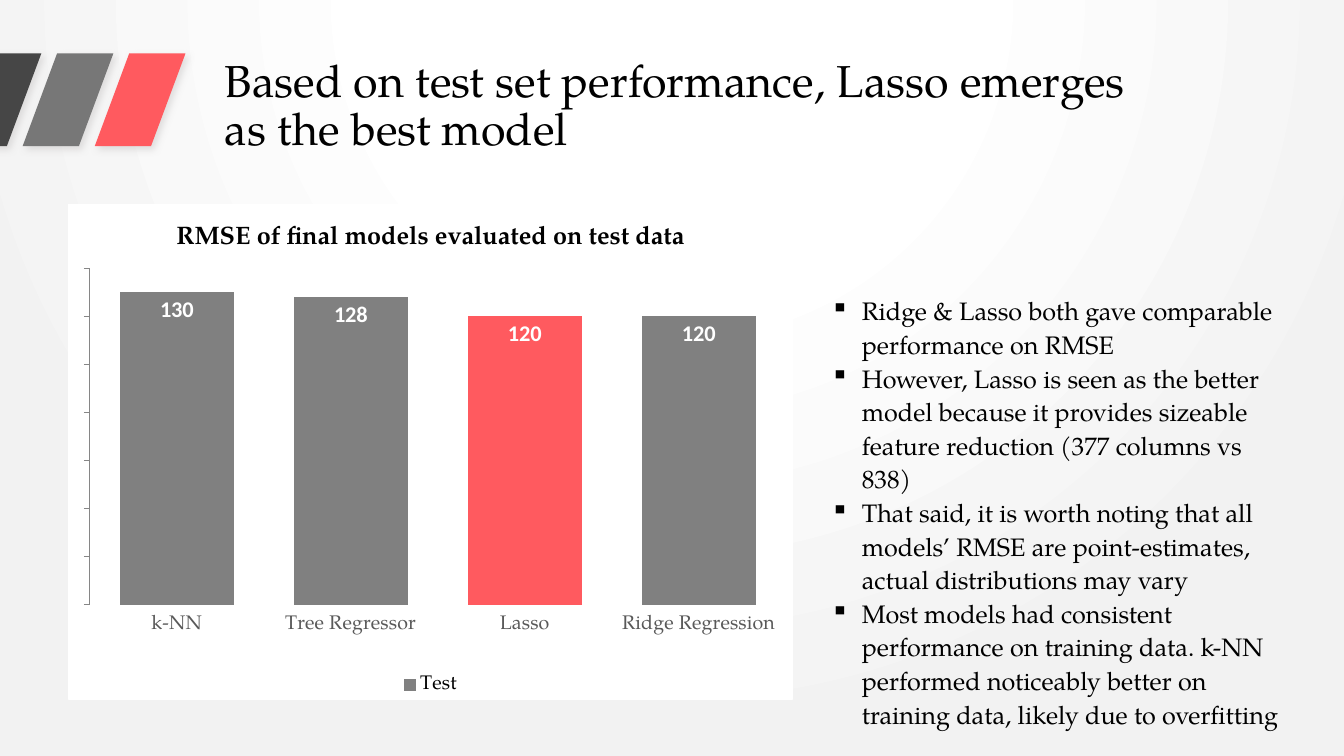
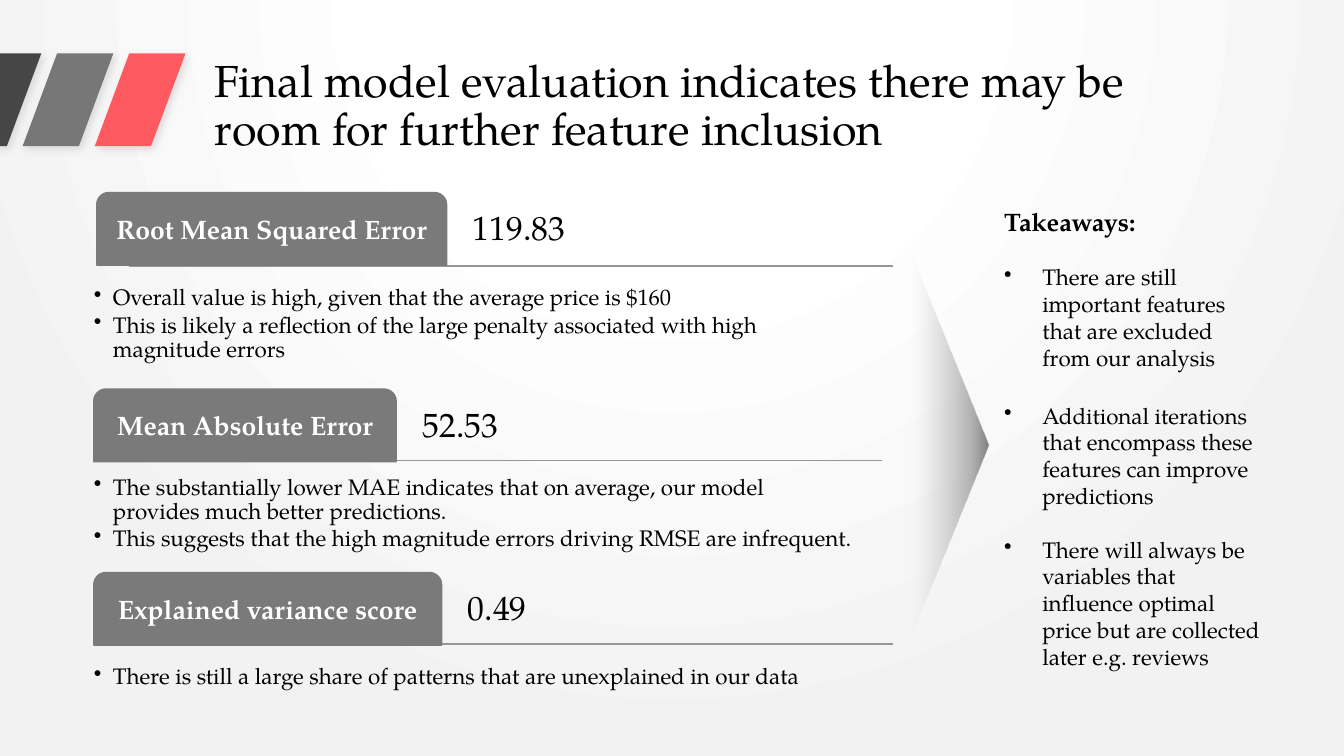
from dataclasses import dataclass

from lxml.etree import SubElement
from pptx import Presentation
from pptx.chart.data import CategoryChartData
from pptx.dml.color import RGBColor
from pptx.enum.chart import (XL_CHART_TYPE, XL_LABEL_POSITION, XL_LEGEND_POSITION,
                             XL_TICK_LABEL_POSITION, XL_TICK_MARK)
from pptx.enum.shapes import MSO_CONNECTOR, MSO_SHAPE
from pptx.enum.text import MSO_ANCHOR, MSO_AUTO_SIZE, PP_ALIGN
from pptx.oxml import parse_xml
from pptx.oxml.ns import nsdecls, qn
from pptx.util import Inches, Pt

BLACK = RGBColor(0x00, 0x00, 0x00)
WHITE = RGBColor(0xFF, 0xFF, 0xFF)
PALE = RGBColor(0xF2, 0xF2, 0xF2)
CHARCOAL = RGBColor(0x46, 0x46, 0x46)
GRAY = RGBColor(0x77, 0x77, 0x77)
CORAL = RGBColor(0xFF, 0x5A, 0x5F)
TAB_GRAY = RGBColor(0x7A, 0x7A, 0x7A)
RULE_GRAY = RGBColor(0x96, 0x96, 0x96)
AXIS_GRAY = RGBColor(0x86, 0x86, 0x86)
BAR_GRAY = RGBColor(0x80, 0x80, 0x80)
LABEL_GRAY = RGBColor(0x59, 0x59, 0x59)
SHADOW_GRAY = RGBColor(0xD0, 0xCE, 0xCE)
SILVER = RGBColor(0xBF, 0xBF, 0xBF)
MID_GRAY = RGBColor(0xA6, 0xA6, 0xA6)

SERIF = "TeX Gyre Pagella"
SANS = "Calibri"

RADIAL = ('<a:path path="circle"><a:fillToRect l="50000" t="-80000" '
          'r="50000" b="180000"/></a:path>')
UPWARD = '<a:lin ang="16200000" scaled="0"/>'

MODEL_RMSE = {"k-NN": 130, "Tree Regressor": 128, "Lasso": 120, "Ridge Regression": 120}
BEST_MODEL = "Lasso"
MODEL_REMARKS = [
    "Ridge & Lasso both gave comparable performance on RMSE",
    "However, Lasso is seen as the better model because it provides sizeable feature "
    "reduction (377 columns vs 838)",
    "That said, it is worth noting that all models’ RMSE are point-estimates, actual "
    "distributions may vary",
    "Most models had consistent performance on training data. k-NN performed noticeably "
    "better on training data, likely due to overfitting",
]
TAKEAWAYS = [
    ("There are still important features that are excluded from our analysis", 19),
    ("Additional iterations that encompass these features can improve predictions", 22),
    ("There will always be variables that influence optimal price but are collected "
     "later e.g. reviews", 19),
]


@dataclass
class Metric:
    """One evaluation score with its tab position and remarks."""
    name: str
    score: str
    left: float
    top: float
    width: float
    rule_left: float
    rule_top: float
    remarks_top: float
    remarks: list


METRICS = [
    Metric("Root Mean Squared Error", "119.83", 0.96, 1.91, 3.47, 1.28, 2.64, 2.82,
           ["Overall value is high, given that the average price is $160",
            "This is likely a reflection of the large penalty associated with high "
            "magnitude errors"]),
    Metric("Mean Absolute Error", "52.53", 0.93, 3.86, 3, 1.17, 4.57, 4.7,
           ["The substantially lower MAE indicates that on average, our model provides "
            "much better predictions.",
            "This suggests that the high magnitude errors driving RMSE are infrequent."]),
    Metric("Explained variance score", "0.49", 0.93, 5.68, 3.45, 1.28, 6.39, 6.58,
           ["There is still a large share of patterns that are unexplained in our data"]),
]


def apply_formats(target, formats):
    """Set every attribute named in formats on the target."""
    for name, value in formats.items():
        setattr(target, name, value)


def set_font(font, size, color=BLACK, bold=False, name=SERIF):
    """Give a font its face, size, weight and colour."""
    apply_formats(font, {"name": name, "size": Pt(size), "bold": bold})
    font.color.rgb = color


def gradient(stops, direction):
    """Build a gradient fill from (position, colour, opacity) stops in percent."""
    marks = "".join(
        f'<a:gs pos="{position * 1000}"><a:srgbClr val="{color}">'
        f'<a:alpha val="{opacity * 1000}"/></a:srgbClr></a:gs>'
        for position, color, opacity in stops)
    return parse_xml(f'<a:gradFill {nsdecls("a")} rotWithShape="1">'
                     f'<a:gsLst>{marks}</a:gsLst>{direction}</a:gradFill>')


def replace_solid_fill(holder, fill):
    """Swap the solid fill directly inside holder for another fill."""
    holder.replace(holder.find(qn("a:solidFill")), fill)


def set_background(master):
    """Give all slides the soft radial background."""
    master.background.fill.solid()
    properties = next(master.element.iter(qn("p:bgPr")))
    replace_solid_fill(properties, gradient(
        [(0, WHITE, 100), (35, WHITE, 100), (100, PALE, 100)], RADIAL))


def add_solid(slide, kind, left, top, width, height, color):
    """Add a borderless, shadowless preset shape in one colour."""
    shape = slide.shapes.add_shape(
        kind, Inches(left), Inches(top), Inches(width), Inches(height))
    shape.shadow.inherit = False
    shape.fill.solid()
    shape.fill.fore_color.rgb = color
    shape.line.fill.background()
    return shape


def add_band(slide, left, color):
    """Add one slanted title band with a soft shadow."""
    band = add_solid(slide, MSO_SHAPE.PARALLELOGRAM, left, 0.53, 0.9, 0.92, color)
    band.adjustments[0] = 0.38
    effects = band.element.spPr.find(qn("a:effectLst"))
    effects.append(parse_xml(
        f'<a:outerShdw {nsdecls("a")} blurRad="{Pt(5)}" dist="{Pt(3)}" dir="2700000" '
        f'algn="tl" rotWithShape="0"><a:srgbClr val="{SHADOW_GRAY}">'
        '<a:alpha val="60000"/></a:srgbClr></a:outerShdw>'))


def add_titled_slide(prs, title, left, width):
    """Add a slide with the shared title style and bands."""
    slide = prs.slides.add_slide(prs.slide_layouts[5])
    heading = slide.shapes.title
    apply_formats(heading, {"left": Inches(left), "top": Inches(0.53),
                            "width": Inches(width), "height": Inches(0.92)})
    heading.text = title
    apply_formats(heading.text_frame, {"vertical_anchor": MSO_ANCHOR.TOP, "word_wrap": True,
                                       "auto_size": MSO_AUTO_SIZE.NONE})
    paragraph = heading.text_frame.paragraphs[0]
    apply_formats(paragraph, {"alignment": PP_ALIGN.LEFT, "line_spacing": 0.9})
    set_font(paragraph.runs[0].font, 32)
    for index, color in enumerate((CHARCOAL, GRAY, CORAL)):
        add_band(slide, -0.49 + 0.715 * index, color)
    return slide


def set_frame(frame, inset=None, anchor=MSO_ANCHOR.TOP):
    """Wrap a text frame and set its anchor and, if given, its equal insets."""
    apply_formats(frame, {"word_wrap": True, "vertical_anchor": anchor})
    if inset is not None:
        sides = ("left", "top", "right", "bottom")
        apply_formats(frame, {f"margin_{side}": Inches(inset) for side in sides})


def add_text_area(slide, left, top, width, height, **frame_formats):
    """Add a wrapping text box and return its text frame."""
    area = slide.shapes.add_textbox(
        Inches(left), Inches(top), Inches(width), Inches(height))
    set_frame(area.text_frame, **frame_formats)
    return area.text_frame


def write(frame, text, size, color=BLACK, bold=False, bullet=None, indent=0, **formats):
    """Write a paragraph into the frame, with a hanging bullet if wanted."""
    first = frame.paragraphs[0]
    paragraph = frame.add_paragraph() if first.runs else first
    if bullet:
        properties = paragraph._p.get_or_add_pPr()
        properties.set("marL", str(Inches(indent)))
        properties.set("indent", str(-Inches(indent)))
        SubElement(properties, qn("a:buChar"), char=bullet)
    apply_formats(paragraph, formats)
    run = paragraph.add_run()
    run.text = text
    set_font(run.font, size, color, bold)


def style_axes(chart):
    """Show model names below the bars and a bare value scale."""
    names, scale = chart.category_axis, chart.value_axis
    apply_formats(names, {"major_tick_mark": XL_TICK_MARK.OUTSIDE,
                          "has_major_gridlines": False})
    names.format.line.fill.background()
    set_font(names.tick_labels.font, 14, LABEL_GRAY)
    apply_formats(scale, {"minimum_scale": 0, "maximum_scale": 140, "major_unit": 20,
                          "has_major_gridlines": False,
                          "major_tick_mark": XL_TICK_MARK.OUTSIDE,
                          "tick_label_position": XL_TICK_LABEL_POSITION.NONE})
    scale.format.line.color.rgb = AXIS_GRAY


def style_bars(plot):
    """Colour the bars, highlight the best model and label the values."""
    apply_formats(plot, {"gap_width": 53, "vary_by_categories": False,
                         "has_data_labels": True})
    series = plot.series[0]
    best = series.points[list(MODEL_RMSE).index(BEST_MODEL)]
    for bar, color in ((series, BAR_GRAY), (best, CORAL)):
        bar.format.fill.solid()
        bar.format.fill.fore_color.rgb = color
    apply_formats(plot.data_labels, {"show_value": True,
                                     "position": XL_LABEL_POSITION.INSIDE_END})
    set_font(plot.data_labels.font, 16, WHITE, True, SANS)


def place_plot(chart, **fractions):
    """Fix the inner plot area by fractions of the chart."""
    plot_area = next(chart.element.iter(qn("c:plotArea")))
    for old in plot_area.findall(qn("c:layout")):
        plot_area.remove(old)
    sizes = "".join(f'<c:{name} val="{value}"/>' for name, value in fractions.items())
    plot_area.insert(0, parse_xml(
        f'<c:layout {nsdecls("c")}><c:manualLayout><c:layoutTarget val="inner"/>'
        f'<c:xMode val="edge"/><c:yMode val="edge"/>{sizes}'
        '</c:manualLayout></c:layout>'))


def fill_chart_area(chart, color):
    """Paint the chart area and its border in one colour."""
    paint = f'<a:solidFill><a:srgbClr val="{color}"/></a:solidFill>'
    chart.element.find(qn("c:txPr")).addprevious(parse_xml(
        f'<c:spPr {nsdecls("c", "a")}>{paint}<a:ln w="{Pt(0.75)}">{paint}</a:ln></c:spPr>'))


def add_rmse_chart(slide):
    """Add the column chart comparing the models."""
    data = CategoryChartData()
    data.categories = list(MODEL_RMSE)
    data.add_series("Test", list(MODEL_RMSE.values()))
    chart = slide.shapes.add_chart(XL_CHART_TYPE.COLUMN_CLUSTERED, Inches(0.67),
                                   Inches(2.02), Inches(7.2), Inches(4.92), data).chart
    set_font(chart.font, 18, name=SANS)
    apply_formats(chart, {"has_title": True, "has_legend": True})
    write(chart.chart_title.text_frame, "RMSE of final models evaluated on test data",
          18, bold=True)
    apply_formats(chart.legend, {"position": XL_LEGEND_POSITION.BOTTOM,
                                 "include_in_layout": False})
    set_font(chart.legend.font, 14)
    style_axes(chart)
    style_bars(chart.plots[0])
    place_plot(chart, x=0.03, y=0.13, w=0.96, h=0.68)
    fill_chart_area(chart, WHITE)


def add_rule(slide, left, top, width):
    """Add a thin horizontal rule."""
    rule = slide.shapes.add_connector(MSO_CONNECTOR.STRAIGHT, Inches(left), Inches(top),
                                      Inches(left + width), Inches(top))
    rule.line.color.rgb = RULE_GRAY
    rule.line.width = Pt(1)
    SubElement(rule.element.spPr, qn("a:effectLst"))


def add_metric(slide, metric):
    """Add a metric's rule, tab, score and remarks."""
    add_rule(slide, metric.rule_left, metric.rule_top, 7.58)
    tab = add_solid(slide, MSO_SHAPE.ROUND_2_SAME_RECTANGLE, metric.left, metric.top,
                    metric.width, 0.72, TAB_GRAY)
    tab.line.color.rgb = TAB_GRAY
    tab.line.width = Pt(1)
    set_frame(tab.text_frame, 0.04, MSO_ANCHOR.MIDDLE)
    write(tab.text_frame, metric.name, 19, WHITE, True,
          alignment=PP_ALIGN.CENTER, line_spacing=0.9)
    score = add_text_area(slide, metric.left + metric.width + 0.21, metric.top + 0.05,
                          2.15, 0.55, inset=0.05, anchor=MSO_ANCHOR.BOTTOM)
    write(score, metric.score, 24, line_spacing=0.9)
    remarks = add_text_area(slide, 0.91, metric.remarks_top, 7.58, 0.85, inset=0.02)
    for remark in metric.remarks:
        write(remarks, remark, 16, bullet="•", indent=0.19,
              line_spacing=0.9, space_after=Pt(2.4))


def add_pointer(slide):
    """Add the fading arrow that leads to the takeaways."""
    pointer = add_solid(slide, MSO_SHAPE.ISOSCELES_TRIANGLE, 7.38, 4.01, 4.03, 0.81, BAR_GRAY)
    pointer.rotation = 90
    replace_solid_fill(pointer.element.spPr, gradient(
        [(0, WHITE, 0), (21, SILVER, 13), (81, MID_GRAY, 89), (100, BAR_GRAY, 100)], UPWARD))


def build_model_slide(prs):
    """Build the slide that compares the models."""
    slide = add_titled_slide(
        prs, "Based on test set performance, Lasso emerges as the best model", 2.13, 9.58)
    add_rmse_chart(slide)
    remarks = add_text_area(slide, 8.14, 2.85, 4.76, 4.12)
    for remark in MODEL_REMARKS:
        write(remarks, remark, 18, bullet="▪", indent=0.31, line_spacing=Pt(24))


def build_evaluation_slide(prs):
    """Build the slide with the scores and takeaways."""
    slide = add_titled_slide(
        prs, "Final model evaluation indicates there may be room for further feature inclusion",
        2.03, 10.16)
    for metric in METRICS:
        add_metric(slide, metric)
    add_pointer(slide)
    takeaways = add_text_area(slide, 9.86, 2, 2.77, 5.35)
    write(takeaways, "Takeaways:", 18, bold=True)
    for text, gap in TAKEAWAYS:
        write(takeaways, text, 16, bullet="•", indent=0.38, space_before=Pt(gap))


def main():
    """Build and save the presentation."""
    prs = Presentation()
    apply_formats(prs, {"slide_width": Inches(13.33), "slide_height": Inches(7.5)})
    set_background(prs.slide_master)
    build_model_slide(prs)
    build_evaluation_slide(prs)
    prs.save("out.pptx")


if __name__ == "__main__":
    main()
